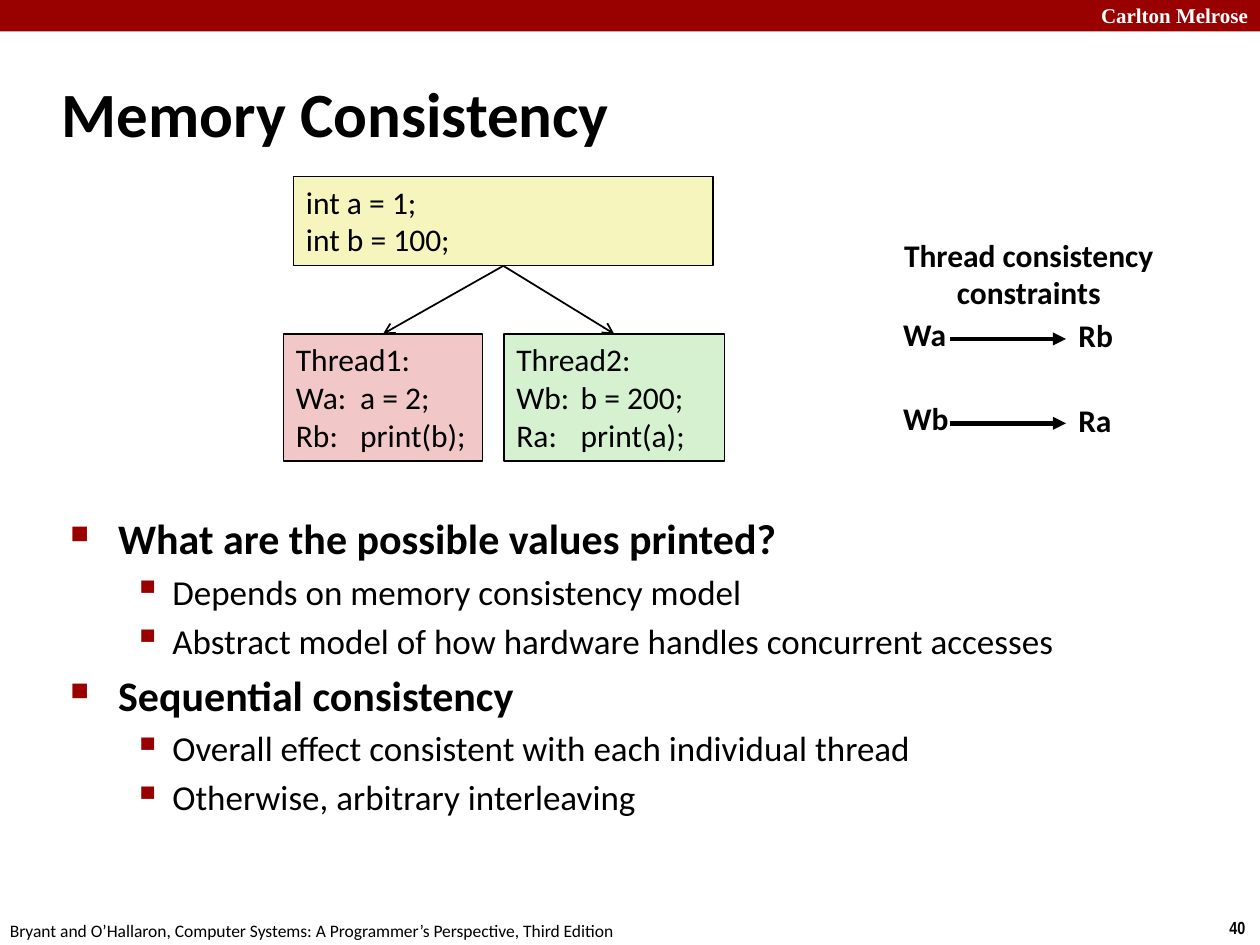
from lxml import etree
from pptx import Presentation
from pptx.dml.color import RGBColor
from pptx.enum.shapes import MSO_CONNECTOR, MSO_SHAPE
from pptx.enum.text import MSO_ANCHOR, PP_ALIGN
from pptx.oxml.ns import qn
from pptx.util import Inches, Pt

RECT, STRAIGHT = MSO_SHAPE.RECTANGLE, MSO_CONNECTOR.STRAIGHT
TOP, MIDDLE = MSO_ANCHOR.TOP, MSO_ANCHOR.MIDDLE
LEFT, CENTER = PP_ALIGN.LEFT, PP_ALIGN.CENTER
SIDE_TOP, SIDE_BOTTOM = 0, 2
TITLE_ONLY = 5
W, H = 10, 7.5
COLORS = {"red": "990000", "white": "FFFFFF", "black": "000000",
          "shared": "F6F5BD", "thread1": "F1C7C7", "thread2": "D5F1CF"}
# Per outline level: size, bold, left margin, hanging indent, bullet, bullet %
LEVELS = [(24, True, 0.38, 0.38, "■", 60), (20, False, 0.81, 0.31, "▪", 110)]
OUTLINE = [
    (0, "What are the possible values printed?"),
    (1, "Depends on memory consistency model"),
    (1, "Abstract model of how hardware handles concurrent accesses"),
    (0, "Sequential consistency"),
    (1, "Overall effect consistent with each individual thread"),
    (1, "Otherwise, arbitrary interleaving"),
]


def rgb(name):
    return RGBColor.from_string(COLORS[name])


def box(x, y, w, h):
    return [Inches(v) for v in (x, y, w, h)]


def add_run(p, text, size=18, bold=False, color="black", font="Calibri"):
    r = p.add_run()
    r.text = text
    r.font.size, r.font.bold, r.font.name = Pt(size), bold, font
    r.font.color.rgb = rgb(color)


def fill_lines(tf, lines, align=LEFT, **style):
    for i, line in enumerate(lines):
        p = tf.paragraphs[0] if i == 0 else tf.add_paragraph()
        p.alignment = align
        add_run(p, line, **style)


def add_label(s, at, lines, wrap=False, **style):
    tf = s.shapes.add_textbox(*box(*at)).text_frame
    tf.word_wrap = wrap
    fill_lines(tf, lines, **style)


def add_box(s, at, fill, lines=(), outlined=True, tab=None):
    sp = s.shapes.add_shape(RECT, *box(*at))
    sp.shadow.inherit = False
    sp.fill.solid()
    sp.fill.fore_color.rgb = rgb(fill)
    if outlined:
        sp.line.color.rgb = rgb("black")
        sp.line.width = Pt(0.75)
    else:
        sp.line.fill.background()
    tf = sp.text_frame
    tf.vertical_anchor = TOP
    fill_lines(tf, lines)
    if tab:
        for p in tf.paragraphs:
            tabs = etree.SubElement(p._p.get_or_add_pPr(), qn("a:tabLst"))
            etree.SubElement(tabs, qn("a:tab"), pos=str(Inches(tab)), algn="l")
    return sp


def add_arrow(s, x1, y1, x2, y2, width, head):
    c = s.shapes.add_connector(STRAIGHT, *box(x1, y1, x2, y2))
    c.line.color.rgb = rgb("black")
    c.line.width = Pt(width)
    etree.SubElement(c.line._get_or_add_ln(), qn("a:tailEnd"), type=head)
    etree.SubElement(c._element.spPr, qn("a:effectLst"))
    return c


def add_outline(s, at, items):
    tf = s.shapes.add_textbox(*box(*at)).text_frame
    tf.word_wrap = True
    for i, (level, text) in enumerate(items):
        size, bold, margin, hang, bullet, percent = LEVELS[level]
        p = tf.paragraphs[0] if i == 0 else tf.add_paragraph()
        p.level = level
        p.space_before = Pt(size * 0.2)
        pPr = p._p.get_or_add_pPr()
        pPr.set("marL", str(Inches(margin)))
        pPr.set("indent", str(-Inches(hang)))
        color = etree.SubElement(pPr, qn("a:buClr"))
        etree.SubElement(color, qn("a:srgbClr"), val=COLORS["red"])
        etree.SubElement(pPr, qn("a:buSzPct"), val=str(percent * 1000))
        etree.SubElement(pPr, qn("a:buChar"), char=bullet)
        add_run(p, text, size, bold)


def add_frame(s):
    add_box(s, (0, 0, W, 0.25), "red", outlined=False)
    add_label(s, (8.64, -0.03, 1.43, 0.3), ["Carlton Melrose"], size=12,
              bold=True, color="white", font="Times New Roman")
    add_label(s, (9.66, 7.23, 0.34, 0.27), ["40"], size=10, bold=True,
              font="Arial Narrow")
    add_label(s, (-0.02, 7.25, 5.08, 0.27),
              ["Bryant and O’Hallaron, Computer Systems: "
               "A Programmer’s Perspective, Third Edition"], size=10)


def add_title(s, text):
    title = s.shapes.title
    title.left, title.top, title.width, title.height = box(0.39, 0.48, 8.3, 0.83)
    title.text_frame.vertical_anchor = MIDDLE
    fill_lines(title.text_frame, [text], size=36, bold=True)


def add_threads(s):
    shared = add_box(s, (2.33, 1.4, 3.33, 0.71), "shared",
                     ["int a = 1;", "int b = 100;"])
    threads = [
        (2.25, 1.58, "thread1", ["Thread1:", "Wa:\ta = 2;", "Rb: \tprint(b);"]),
        (4, 1.75, "thread2", ["Thread2:", "Wb:\tb = 200;", "Ra:\tprint(a);"]),
    ]
    for x, w, fill, lines in threads:
        thread = add_box(s, (x, 2.65, w, 1.01), fill, lines, tab=0.51)
        c = add_arrow(s, 4, 2.11, x + w / 2, 2.65, 1, "arrow")
        c.begin_connect(shared, SIDE_BOTTOM)
        c.end_connect(thread, SIDE_TOP)


def add_constraints(s):
    add_label(s, (7.07, 1.82, 2.19, 0.71),
              ["Thread consistency", "constraints"], align=CENTER, bold=True)
    rows = [(2.45, "Wa", 0.55, "Rb", 0.48), (3.12, "Wb", 0.57, "Ra", 0.47)]
    for y, first, w1, then, w2 in rows:
        add_label(s, (7.07, y, w1, 0.4), [first], bold=True)
        add_label(s, (8.46, y + 0.01, w2, 0.4), [then], bold=True)
        add_arrow(s, 7.54, y + 0.24, 8.46, y + 0.24, 2.5, "triangle")


def main():
    prs = Presentation()
    prs.slide_width, prs.slide_height = Inches(W), Inches(H)
    s = prs.slides.add_slide(prs.slide_layouts[TITLE_ONLY])
    add_frame(s)
    add_title(s, "Memory Consistency")
    add_outline(s, (0.46, 4.02, 8.64, 3.18), OUTLINE)
    add_threads(s)
    add_constraints(s)
    prs.save("out.pptx")


if __name__ == "__main__":
    main()
